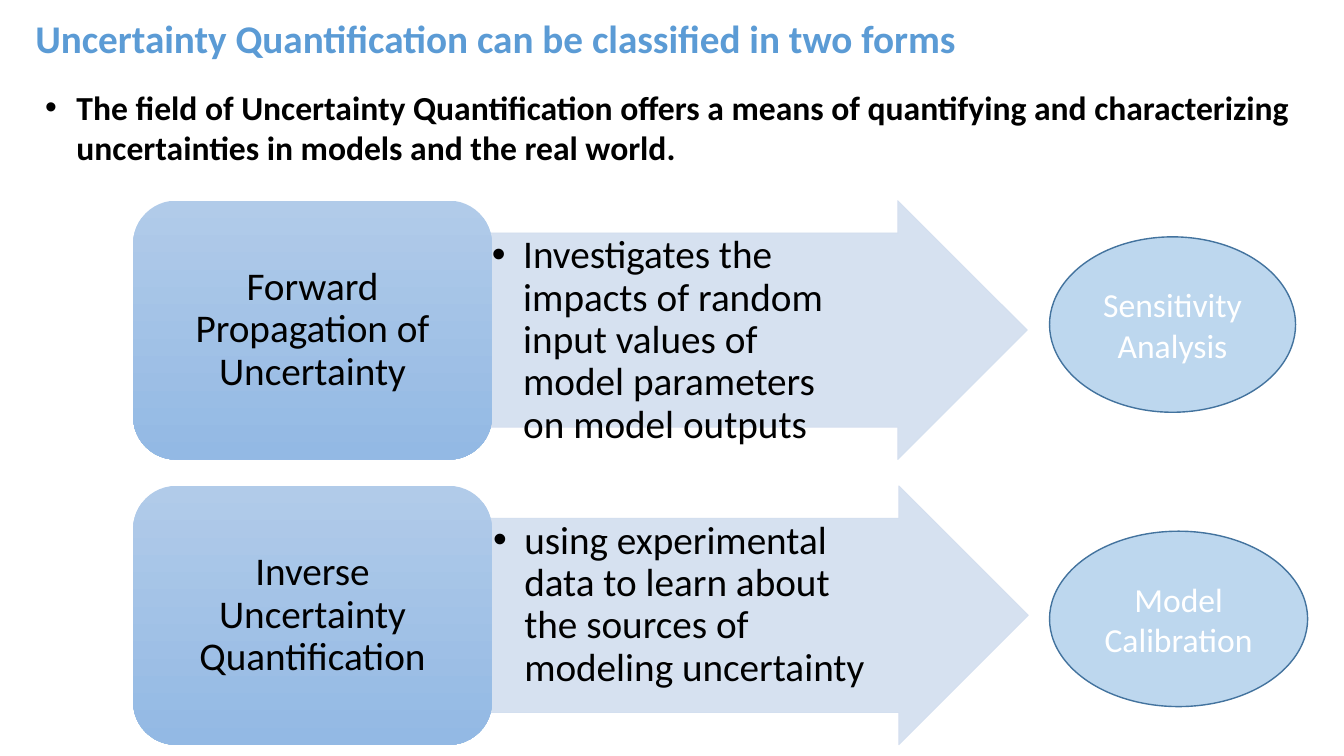
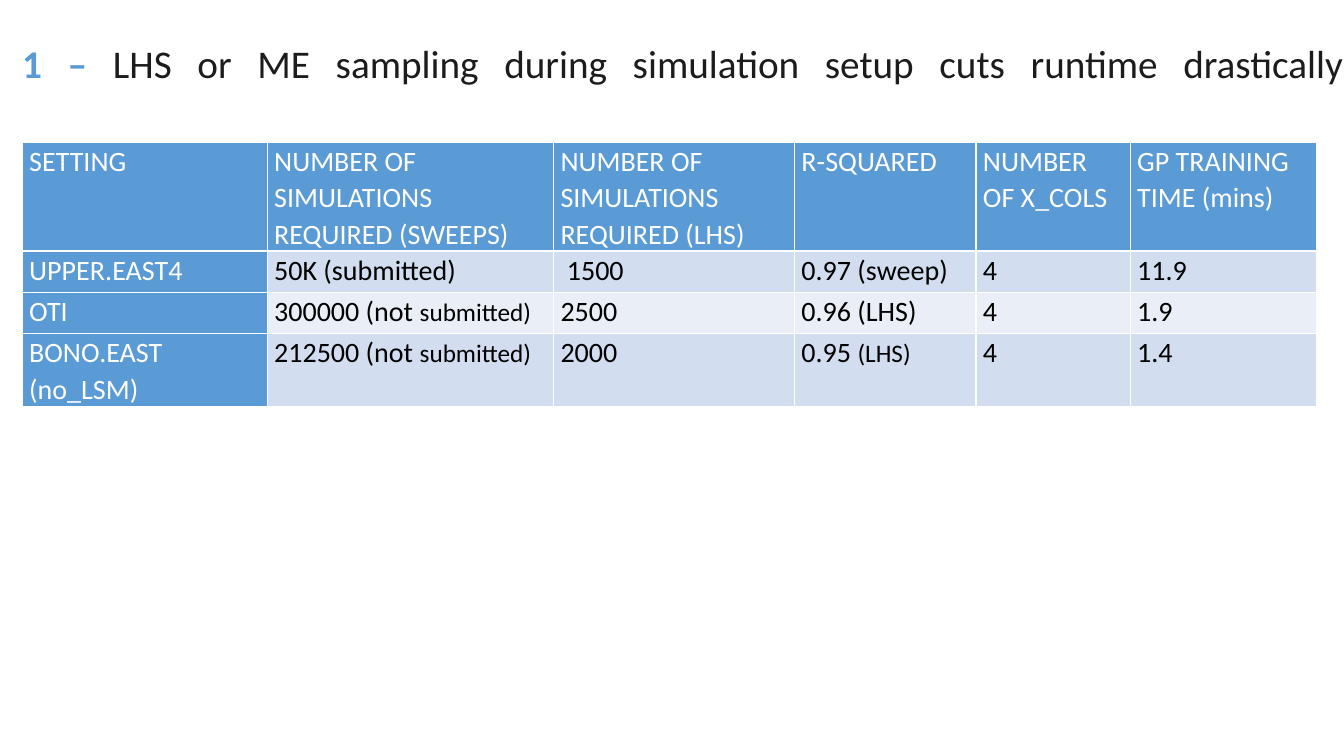
from dataclasses import dataclass

from lxml import etree
from pptx import Presentation
from pptx.dml.color import RGBColor
from pptx.enum.shapes import MSO_SHAPE
from pptx.enum.text import MSO_ANCHOR, PP_ALIGN
from pptx.oxml.ns import qn
from pptx.util import Pt

PX = 9144  # 100 px to the inch
ARROW, ROUND, OVAL = MSO_SHAPE.RIGHT_ARROW, MSO_SHAPE.ROUNDED_RECTANGLE, MSO_SHAPE.OVAL
TOP, MIDDLE = MSO_ANCHOR.TOP, MSO_ANCHOR.MIDDLE
LEFT, CENTER, JUSTIFY = PP_ALIGN.LEFT, PP_ALIGN.CENTER, PP_ALIGN.JUSTIFY


@dataclass(frozen=True)
class Theme:
    font: str = "Calibri"
    blue: str = "5B9BD5"
    pale: str = "D2DEEF"
    faint: str = "EAEFF7"
    oval: str = "BDD7EE"
    edge: str = "43739E"
    light: str = "B1CBE9"
    deep: str = "93B9E4"
    ink: str = "1D1C1D"
    black: str = "000000"
    white: str = "FFFFFF"
    head: int = 28
    body: int = 24
    cell: int = 20
    small: int = 18


T = Theme()

FORMS_TITLE = "Uncertainty Quantification can be classified in two forms"
INTRO = ("The field of Uncertainty Quantification offers a means of quantifying "
         "and characterizing uncertainties in models and the real world.")
# name, meaning, use, arrow left, oval top, oval width
FORMS = [
    ("Forward Propagation of Uncertainty",
     "Investigates the impacts of random input values of model parameters on model outputs",
     "Sensitivity Analysis", 486, 235, 244),
    ("Inverse Uncertainty Quantification",
     "using experimental data to learn about the sources of modeling uncertainty",
     "Model Calibration", 487, 527, 256),
]
FORM_TOP, FORM_STEP, FORM_H = 199, 283, 257

RUNS_TITLE = ("1 – ", "LHS or ME sampling during simulation setup cuts runtime drastically")
COLS = [243, 284, 239, 180, 153, 185]
ROWS = [108, 41, 41, 72]
# The second part of a split cell is set in the small size
CELLS = [
    ["SETTING", "NUMBER OF SIMULATIONS REQUIRED (SWEEPS)",
     "NUMBER OF SIMULATIONS REQUIRED (LHS)", "R-SQUARED", "NUMBER OF X_COLS",
     "GP TRAINING TIME (mins)"],
    ["UPPER.EAST4", "50K (submitted)", " 1500", "0.97 (sweep)", "4", "11.9"],
    ["OTI", ("300000 (not ", "submitted)"), "2500", "0.96 (LHS)", "4", "1.9"],
    ["BONO.EAST (no_LSM)", ("212500 (not ", "submitted)"), "2000",
     ("0.95 ", "(LHS)"), "4", "1.4"],
]


def rgb(code):
    return RGBColor.from_string(code)


def emu(*sizes):
    return [size * PX for size in sizes]


def style(run, size, color, bold=False):
    font = run.font
    font.name, font.size, font.bold = T.font, Pt(size), bold
    font.color.rgb = rgb(color)


def bullet(para):
    props = para._p.get_or_add_pPr()
    props.set("marL", str(31 * PX))
    props.set("indent", str(-31 * PX))
    etree.SubElement(props, qn("a:buFont")).set("typeface", "Arial")
    etree.SubElement(props, qn("a:buChar")).set("char", "•")


def write(shape, text, size, color, bold=False, align=LEFT, anchor=MIDDLE,
          pad=(10, 5, 10, 5), space=None, dot=False):
    """Fill a shape with one paragraph; pad is left, top, right, bottom."""
    frame = shape.text_frame
    frame.word_wrap = True
    frame.vertical_anchor = anchor
    (frame.margin_left, frame.margin_top,
     frame.margin_right, frame.margin_bottom) = emu(*pad)
    frame.text = text
    para = frame.paragraphs[0]
    para.alignment = align
    if space:
        para.line_spacing = space
    if dot:
        bullet(para)
    style(para.runs[0], size, color, bold)
    return para


def add_box(slide, box):
    return slide.shapes.add_textbox(*emu(*box))


def add_form(slide, kind, box, fill=None, line=None, width=1):
    shape = slide.shapes.add_shape(kind, *emu(*box))
    shape.shadow.inherit = False
    if fill:
        shape.fill.solid()
        shape.fill.fore_color.rgb = rgb(fill)
    if line:
        shape.line.color.rgb = rgb(line)
        shape.line.width = Pt(width)
    else:
        shape.line.fill.background()
    return shape


def add_title(slide, box, text, color, bold, pad):
    return write(add_box(slide, box), text, T.head, color, bold, JUSTIFY, pad=pad, space=0.9)


def fade(shape):
    """Make fill and line slightly see-through."""
    for color in shape._element.spPr.iter(qn("a:srgbClr")):
        etree.SubElement(color, qn("a:alpha")).set("val", "90000")


def shade(shape):
    """Blend from light at the top to deep at the bottom."""
    shape.fill.gradient()
    shape.fill.gradient_angle = 270
    for stop, code in zip(shape.fill.gradient_stops, (T.light, T.deep)):
        stop.color.rgb = rgb(code)


def border(cell):
    props = cell._tc.get_or_add_tcPr()
    for side in ("lnL", "lnR", "lnT", "lnB"):
        line = etree.SubElement(props, qn(f"a:{side}"), w=str(Pt(1)))
        fill = etree.SubElement(line, qn("a:solidFill"))
        etree.SubElement(fill, qn("a:srgbClr")).set("val", T.white)


def fill_cell(cell, parts, fill, color):
    border(cell)
    cell.fill.solid()
    cell.fill.fore_color.rgb = rgb(fill)
    cell.margin_left, cell.margin_top, cell.margin_right, cell.margin_bottom = emu(7, 0, 7, 0)
    para = cell.text_frame.paragraphs[0]
    para.line_spacing = 1.07
    if isinstance(parts, str):
        parts = (parts,)
    for part, size in zip(parts, (T.cell, T.small)):
        run = para.add_run()
        run.text = part
        style(run, size, color)


def forms_slide(slide):
    add_title(slide, (35, 0, 1298, 81), FORMS_TITLE, T.blue, True, (0, 7, 13, 7))
    for row, (name, sense, use, left, top, width) in enumerate(FORMS):
        y = FORM_TOP + row * FORM_STEP
        arrow = add_form(slide, ARROW, (left, y, 533, FORM_H), T.pale, T.pale, 0.5)
        arrow.adjustments[0], arrow.adjustments[1] = 0.75, 0.5
        fade(arrow)
        write(arrow, sense, T.head, T.black, anchor=TOP, pad=(2, 2, 66, 2),
              space=0.9, dot=True)
        block = add_form(slide, ROUND, (132, y, 356, FORM_H))
        shade(block)
        write(block, name, T.head, T.black, align=CENTER, pad=(12, 6, 12, 6), space=0.9)
        oval = add_form(slide, OVAL, (1041, top, width, 174), T.oval, T.edge)
        write(oval, use, T.body, T.white, align=CENTER)
    write(add_box(slide, (35, 81, 1282, 91)), INTRO, T.body, T.black, True,
          anchor=TOP, dot=True)


def runs_slide(slide):
    mark, claim = RUNS_TITLE
    para = add_title(slide, (22, 68, 1320, 41), mark, T.blue, True, (0, 5, 10, 5))
    run = para.add_run()
    run.text = claim
    style(run, T.head, T.ink)
    para.add_line_break()
    para.font.size = Pt(T.head)

    box = emu(22, 141, sum(COLS), sum(ROWS))
    table = slide.shapes.add_table(len(ROWS), len(COLS), *box).table
    for col, width in zip(table.columns, COLS):
        col.width = width * PX
    for row, height in zip(table.rows, ROWS):
        row.height = height * PX
    for r, line in enumerate(CELLS):
        band = T.pale if r % 2 else T.faint
        for c, parts in enumerate(line):
            key = r == 0 or c == 0
            fill_cell(table.cell(r, c), parts, T.blue if key else band,
                      T.white if key else T.black)


def main():
    deck = Presentation()
    deck.slide_width, deck.slide_height = emu(1333, 750)
    for build in (forms_slide, runs_slide):
        build(deck.slides.add_slide(deck.slide_layouts[6]))
    deck.save("out.pptx")


if __name__ == "__main__":
    main()
